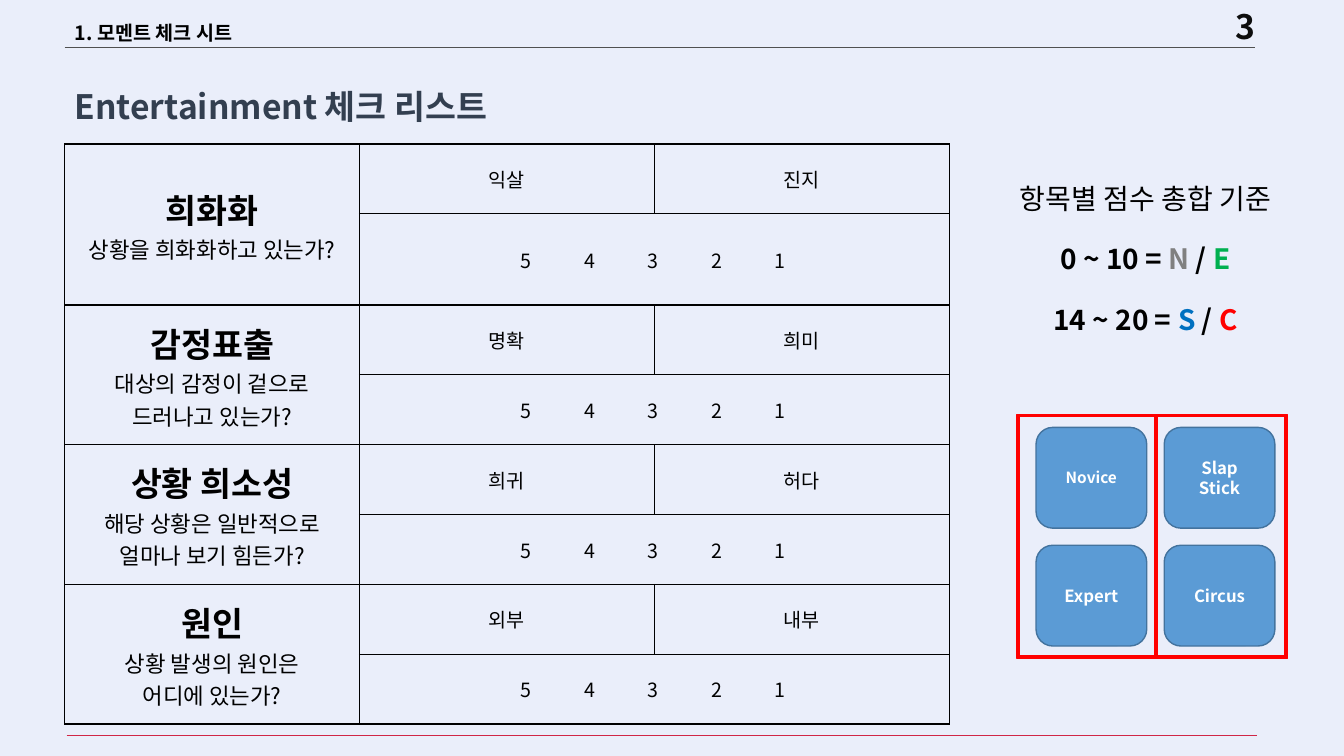
from pptx import Presentation
from pptx.dml.color import RGBColor
from pptx.enum.shapes import MSO_CONNECTOR, MSO_SHAPE
from pptx.enum.text import MSO_ANCHOR, MSO_AUTO_SIZE, PP_ALIGN
from pptx.oxml.ns import qn
from pptx.util import Cm, Pt
from lxml.etree import SubElement

FONT = "Noto Sans CJK KR"
PAPER = RGBColor(0xEA, 0xEE, 0xFA)
BLACK = RGBColor(0, 0, 0)
INK = RGBColor(0x0D, 0x0D, 0x0D)
SLATE = RGBColor(0x33, 0x3F, 0x50)
RULE = RGBColor(0x50, 0x50, 0x50)
CRIMSON = RGBColor(0xD0, 0x26, 0x46)
WHITE = RGBColor(0xFF, 0xFF, 0xFF)
GRAY = RGBColor(0x80, 0x80, 0x80)
GREEN = RGBColor(0x00, 0xB0, 0x50)
BLUE = RGBColor(0x00, 0x70, 0xC0)
RED = RGBColor(0xFF, 0, 0)
TILE = RGBColor(0x5B, 0x9B, 0xD5)
EDGE = RGBColor(0x43, 0x73, 0x9E)

CHECKS = [
    ("희화화", ["상황을 희화화하고 있는가?"], "익살", "진지"),
    ("감정표출", ["대상의 감정이 겉으로", "드러나고 있는가?"], "명확", "희미"),
    ("상황 희소성", ["해당 상황은 일반적으로", "얼마나 보기 힘든가?"], "희귀", "허다"),
    ("원인", ["상황 발생의 원인은", "어디에 있는가?"], "외부", "내부"),
]
SCORES = "54321"
TILES = [[("Novice", 11), ("Slap\nStick", 12)], [("Expert", 12), ("Circus", 12)]]
FRAMES = [(25.63, 3.53), (29.11, 3.33)]


def style(run, size=14, color=BLACK, bold=False):
    """Set the font of a run, for Latin and Korean letters alike."""
    font = run.font
    font.name, font.size, font.bold = FONT, Pt(size), bold
    SubElement(font._element, qn("a:ea"), typeface=FONT)
    font.color.rgb = color


def write(frame, lines, align=PP_ALIGN.CENTER, anchor=MSO_ANCHOR.MIDDLE,
          space=None, before=0, **look):
    """Fill a text frame; a line is a list of (text, font changes)."""
    frame.vertical_anchor = anchor
    for i, line in enumerate(lines):
        para = frame.paragraphs[0] if i == 0 else frame.add_paragraph()
        para.alignment, para.line_spacing = align, space
        para.space_before = Pt(before if i else 0)
        for text, change in line:
            run = para.add_run()
            run.text = text
            style(run, **{**look, **change})


def place(shape, left, top, width, height):
    """Move and size a shape, in centimetres."""
    shape.left, shape.top = Cm(left), Cm(top)
    shape.width, shape.height = Cm(width), Cm(height)
    shape.text_frame.word_wrap = True
    shape.text_frame.auto_size = MSO_AUTO_SIZE.NONE


def add_label(slide, box, text, **look):
    """Add a text box with one line."""
    label = slide.shapes.add_textbox(0, 0, 0, 0)
    place(label, *box)
    write(label.text_frame, [[(text, {})]], **look)


def add_rule(slide, left, top, color):
    """Add a thin line across the slide."""
    rule = slide.shapes.add_connector(MSO_CONNECTOR.STRAIGHT, Cm(left), Cm(top),
                                      Cm(left + 30), Cm(top))
    rule.line.color.rgb, rule.line.width = color, Pt(0.5)
    SubElement(rule._element.spPr, qn("a:effectLst"))


def add_block(slide, kind, box, fill, edge):
    """Add a flat preset shape."""
    block = slide.shapes.add_shape(kind, 0, 0, 0, 0)
    place(block, *box)
    block.shadow.inherit = False
    block.fill.solid()
    block.fill.fore_color.rgb = fill
    block.line.color.rgb, block.line.width = edge, Pt(1)
    return block


def set_grid(cell):
    """Give a cell black borders and no fill."""
    props = cell._tc.get_or_add_tcPr()
    for side in ("a:lnL", "a:lnR", "a:lnT", "a:lnB"):
        line = SubElement(props, qn(side), w=str(Pt(1)))
        fill = SubElement(line, qn("a:solidFill"))
        SubElement(fill, qn("a:srgbClr"), val=str(BLACK))
    cell.fill.background()


def write_scores(cell):
    """Set the scores on evenly spaced centre tabs."""
    frame = cell.text_frame
    write(frame, [[("".join("\t" + n for n in SCORES), {})]], align=PP_ALIGN.LEFT)
    tabs = SubElement(frame.paragraphs[0]._p.get_or_add_pPr(), qn("a:tabLst"))
    for i in range(len(SCORES)):
        SubElement(tabs, qn("a:tab"), pos=str(Cm(3.95 + 1.6 * i)), algn="ctr")


def add_checks(slide):
    """Add the check list table, two rows for each item."""
    table = slide.shapes.add_table(2 * len(CHECKS), 3, Cm(1.63), Cm(3.63),
                                   Cm(22.29), Cm(14.2)).table
    table.first_row = table.horz_banding = False
    for col in table.columns:
        col.width = Cm(7.43)
    for i, row in enumerate(table.rows):
        row.height = Cm(1.95 if i == 1 else 1.76)
    for cell in table.iter_cells():
        set_grid(cell)
        cell.vertical_anchor = MSO_ANCHOR.MIDDLE
    for i, (name, asks, high, low) in enumerate(CHECKS):
        top = 2 * i
        head, scale = table.cell(top, 0), table.cell(top + 1, 1)
        head.merge(table.cell(top + 1, 0))
        scale.merge(table.cell(top + 1, 2))
        write(head.text_frame, [[(name, {"size": 24, "bold": True})]]
              + [[(ask, {})] for ask in asks], size=16)
        for col, word in enumerate((high, low), 1):
            write(table.cell(top, col).text_frame, [[(word, {})]])
        write_scores(scale)


def add_rating(body):
    """Write the score criteria into the body placeholder."""
    place(body, 25.04, 4.45, 7.65, 4.52)
    lines = [[("항목별 점수 총합 기준", {"bold": False})]]
    for span, left, tint, right, hue in (("0 ~ 10", "N", GRAY, "E", GREEN),
                                         ("14 ~ 20", "S", BLUE, "C", RED)):
        lines.append([(span + " = ", {}), (left + " ", {"color": tint}),
                      ("/ ", {}), (right, {"color": hue})])
    write(body.text_frame, lines, anchor=MSO_ANCHOR.TOP, before=19, size=20, bold=True)
    for para in body.text_frame.paragraphs:
        props = para._p.get_or_add_pPr()
        props.set("marL", "0")
        props.set("indent", "0")
        SubElement(props, qn("a:buNone"))


def add_types(slide):
    """Add the four type tiles and the two frames around them."""
    for i, row in enumerate(TILES):
        for j, (name, size) in enumerate(row):
            box = (26.11 + 3.23 * j, 10.77 + 2.97 * i, 2.79, 2.54)
            tile = add_block(slide, MSO_SHAPE.ROUNDED_RECTANGLE, box, TILE, EDGE)
            write(tile.text_frame, [[(word, {})] for word in name.split("\n")],
                  size=size, color=WHITE, bold=True)
    for left, width in FRAMES:
        frame = add_block(slide, MSO_SHAPE.FRAME, (left, 10.44, width, 6.15), RED, RED)
        frame.adjustments[0] = 0.016


def main():
    """Build the slide and save it."""
    deck = Presentation()
    deck.slide_width, deck.slide_height = Cm(33.87), Cm(19.05)
    slide = deck.slides.add_slide(deck.slide_layouts[1])
    slide.background.fill.solid()
    slide.background.fill.fore_color.rgb = PAPER
    add_rule(slide, 1.68, 18.54, CRIMSON)
    add_rule(slide, 1.63, 1.19, RULE)
    add_label(slide, (29.34, 0.15, 4.09, 1.02), "3", size=24, color=INK, bold=True)
    add_label(slide, (1.63, 0.15, 8.03, 1.04), "1. 모멘트 체크 시트",
              align=PP_ALIGN.LEFT, space=1.5, bold=True)
    title = slide.shapes.title
    place(title, 1.63, 1.52, 11.38, 1.8)
    write(title.text_frame, [[("Entertainment 체크 리스트", {})]],
          align=PP_ALIGN.LEFT, space=1.5, size=24, color=SLATE, bold=True)
    add_checks(slide)
    add_rating(slide.placeholders[1])
    add_types(slide)
    deck.save("out.pptx")


main()
